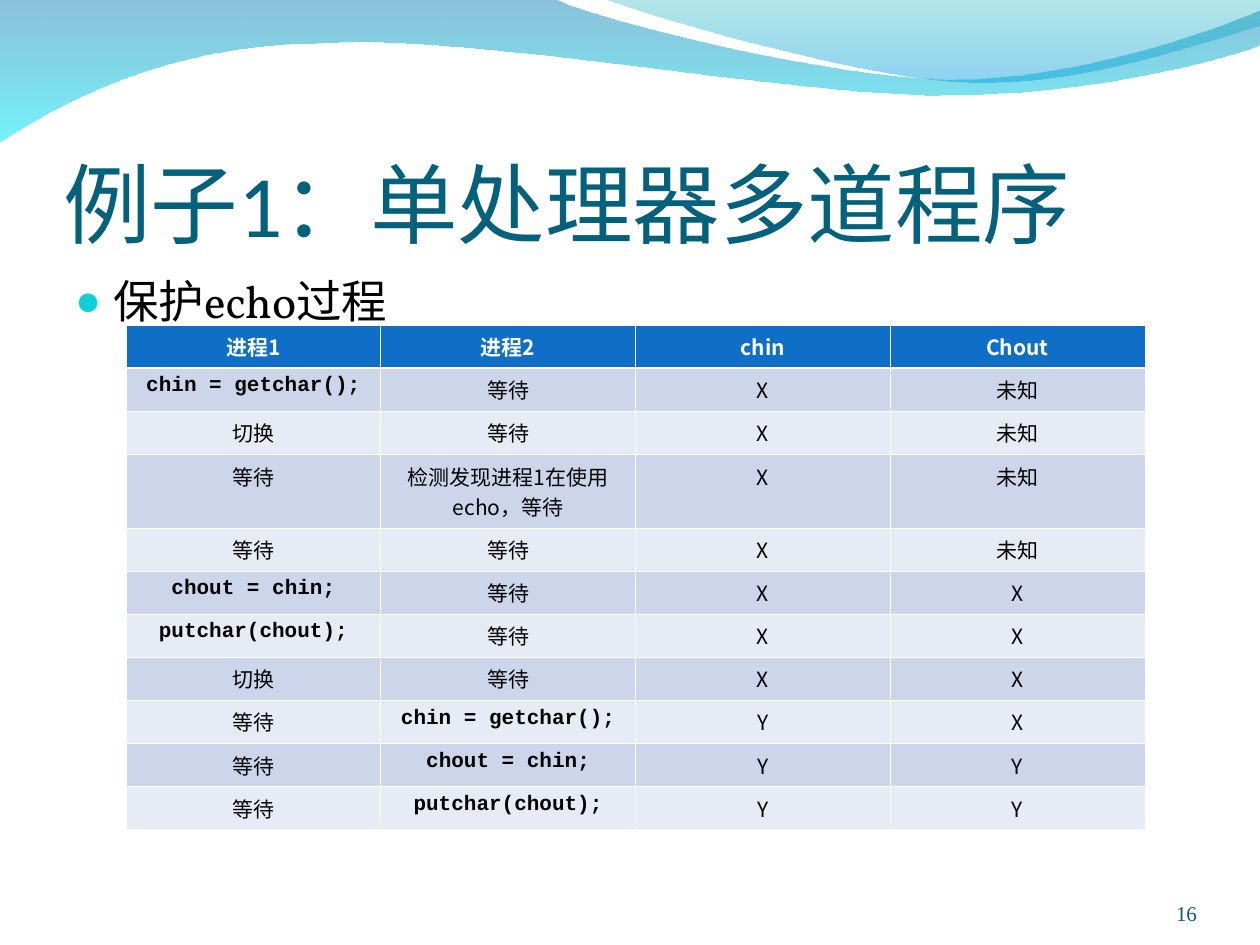
from dataclasses import dataclass

from lxml import etree
from pptx import Presentation
from pptx.dml.color import RGBColor
from pptx.enum.text import MSO_ANCHOR, MSO_AUTO_SIZE, PP_ALIGN
from pptx.oxml.ns import qn
from pptx.util import Emu, Pt

LEFT, CENTER, RIGHT = PP_ALIGN.LEFT, PP_ALIGN.CENTER, PP_ALIGN.RIGHT
TOP, BOTTOM = MSO_ANCHOR.TOP, MSO_ANCHOR.BOTTOM
NO_FIT = MSO_AUTO_SIZE.NONE
PX = 914400 / 126


def px(n):
    return Emu(round(n * PX))


def sub(node, tag, **attrs):
    return etree.SubElement(node, qn(tag), attrs)


@dataclass(frozen=True)
class Theme:
    title: str = "04617B"
    text: str = "000000"
    number: str = "045C75"
    bullet: str = "0BD0D9"
    white: str = "FFFFFF"
    head: str = "0F6FC6"
    bands: tuple = ("CCD5EA", "E7EBF5")
    # Stops: colour, opacity in percent
    wide: tuple = (("0079AF", 45), ("00EBF8", 55))
    light: tuple = (("00ADB6", 30), ("009BE5", 45))
    title_size: int = 50
    body_size: int = 26
    small_size: int = 12
    thin: float = 0.45
    thick: float = 1.47
    title_font: str = "Calibri"
    body_font: str = "Vollkorn"
    num_font: str = "Times New Roman"
    code_font: str = "Courier New"
    cjk: str = "Noto Sans CJK SC"


class Deck:
    def __init__(self, theme):
        self.theme = theme
        self.prs = Presentation()
        self.prs.slide_width, self.prs.slide_height = px(1260), px(945)
        self.slide = self.prs.slides.add_slide(self.prs.slide_layouts[1])
        self.shapes = self.slide.shapes

    def run(self, para, text, size, color, font, bold=False):
        run = para.add_run()
        run.text = text
        face = run.font
        face.size, face.bold, face.name = Pt(size), bold, font
        face.color.rgb = RGBColor.from_string(color)
        run._r.rPr.find(qn("a:latin")).addnext(
            etree.Element(qn("a:ea"), typeface=self.theme.cjk))

    def frame(self, shape, box, anchor, insets, align):
        """Place a text shape in front and return its first paragraph."""
        shape.left, shape.top, shape.width, shape.height = map(px, box)
        self.shapes._spTree.append(shape._element)
        body = shape.text_frame
        body.word_wrap, body.auto_size = True, NO_FIT
        body.vertical_anchor = anchor
        (body.margin_left, body.margin_top,
         body.margin_right, body.margin_bottom) = map(px, insets)
        para = body.paragraphs[0]
        para.alignment = align
        return para

    def wave(self, start, parts, stops):
        """Fill an outline of lines (x, y) and cubic curves (six numbers)."""
        points = [part[i:i + 2] for part in parts
                  for i in range(0, len(part), 2)]
        pen = self.shapes.build_freeform(*start, scale=PX)
        pen.add_line_segments(points, close=True)
        shape = pen.convert_to_shape()
        # Join each three line steps of a curve into one cubic
        steps = iter(list(shape._element.iter(qn("a:lnTo"))))
        for part in parts:
            step = next(steps)
            if len(part) == 6:
                step.addprevious(curve := etree.Element(qn("a:cubicBezTo")))
                for node in (step, next(steps), next(steps)):
                    curve.append(node[0])
                    node.getparent().remove(node)
        shape.shadow.inherit = False
        shape.line.fill.background()
        shape.fill.gradient()
        shape.fill.gradient_angle = 270
        for stop, (color, alpha) in zip(shape.fill.gradient_stops, stops):
            stop.color.rgb = RGBColor.from_string(color)
            node = stop._gs.find(qn("a:srgbClr"))
            sub(node, "a:alpha", val=str(alpha * 1000))

    def title(self, text, box):
        t = self.theme
        para = self.frame(self.shapes.title, box, BOTTOM, (0, 6, 0, 0), LEFT)
        self.run(para, text, t.title_size, t.title, t.title_font)

    def bullet(self, text, box):
        t = self.theme
        para = self.frame(self.slide.placeholders[1], box, TOP,
                          (12, 6, 12, 6), LEFT)
        props = para._p.get_or_add_pPr()
        props.set("marL", str(px(38)))
        props.set("indent", str(px(-38)))
        sub(sub(props, "a:buClr"), "a:srgbClr", val=t.bullet)
        sub(props, "a:buSzPct", val="95000")
        sub(props, "a:buChar", char="●")
        para.space_before = Pt(0)
        self.run(para, text, t.body_size, t.text, t.body_font)

    def number(self, text, box):
        t = self.theme
        shape = self.shapes.add_textbox(*map(px, box))
        para = self.frame(shape, box, BOTTOM, (0, 0, 0, 0), RIGHT)
        self.run(para, text, t.small_size, t.number, t.num_font)

    def edges(self, cell, row):
        t = self.theme
        props = cell._tc.get_or_add_tcPr()
        heavy = {0: "B", 1: "T"}.get(row)
        for i, side in enumerate("LRTB"):
            width = t.thick if side == heavy else t.thin
            line = etree.Element(qn("a:ln" + side), w=str(Pt(width)))
            sub(sub(line, "a:solidFill"), "a:srgbClr", val=t.white)
            props.insert(i, line)

    def table(self, rows, box, high):
        t = self.theme
        grid = self.shapes.add_table(
            len(rows), len(rows[0]), *map(px, box)).table
        for r, row in enumerate(rows):
            grid.rows[r].height = px(high.get(r, 38))
            for c, text in enumerate(row):
                cell = grid.cell(r, c)
                cell.fill.solid()
                cell.fill.fore_color.rgb = RGBColor.from_string(
                    t.bands[(r - 1) % 2] if r else t.head)
                self.edges(cell, r)
                para = cell.text_frame.paragraphs[0]
                para.alignment = CENTER
                code = text.endswith(";")
                self.run(para, text, t.small_size,
                         t.text if r else t.white,
                         t.code_font if code else t.cjk,
                         bold=code or r == 0)


def main():
    theme = Theme()
    deck = Deck(theme)

    # Waves along the top
    deck.wave((0, -1), [
        (554, -1), (600, 21, 837, 79, 955, 79), (1075, 79, 1207, 33, 1260, 11),
        (1261, 45), (1239, 55, 1096, 96, 940, 95), (784, 95, 481, 35, 324, 43),
        (163, 44, 58, 105, -1, 142)], theme.wide)
    deck.wave((604, -1), [
        (641, 14, 859, 78, 969, 82), (1079, 87, 1211, 40, 1260, 26),
        (1260, 0)], theme.light)

    # Heading, bullet and page number
    deck.title("例子1：单处理器多道程序", (63, 97, 1134, 158))
    deck.bullet("保护echo过程", (63, 267, 1134, 605))
    deck.number("16", (1092, 876, 105, 50))

    # Steps of the two processes
    wait, swap, none = "等待", "切换", "未知"
    read, move, put = "chin = getchar();", "chout = chin;", "putchar(chout);"
    deck.table([
        ("进程1", "进程2", "chin", "Chout"),
        (read, wait, "X", none),
        (swap, wait, "X", none),
        (wait, "检测发现进程1在使用echo，等待", "X", none),
        (wait, wait, "X", none),
        (move, wait, "X", "X"),
        (put, wait, "X", "X"),
        (swap, wait, "X", "X"),
        (wait, read, "Y", "X"),
        (wait, move, "Y", "Y"),
        (wait, put, "Y", "Y"),
    ], (126, 325, 1019, 441), high={3: 63})

    deck.prs.save("out.pptx")


if __name__ == "__main__":
    main()
